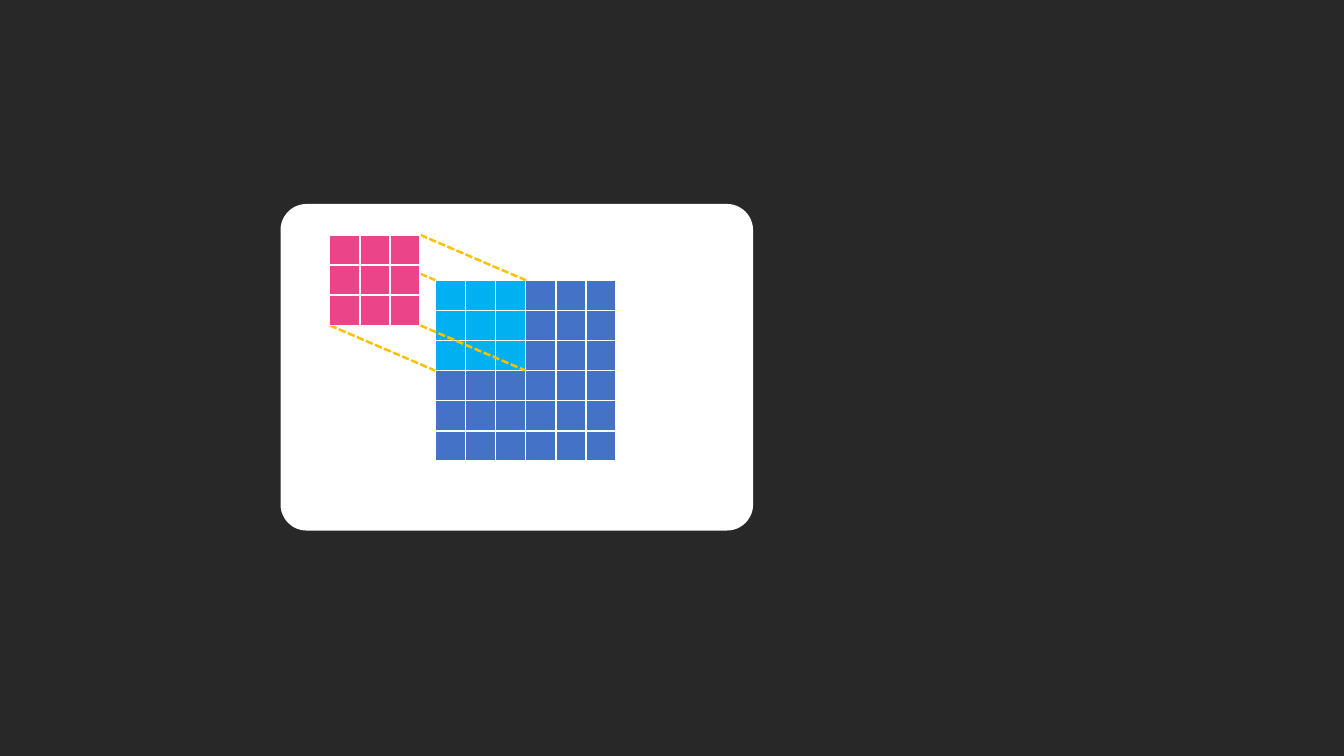
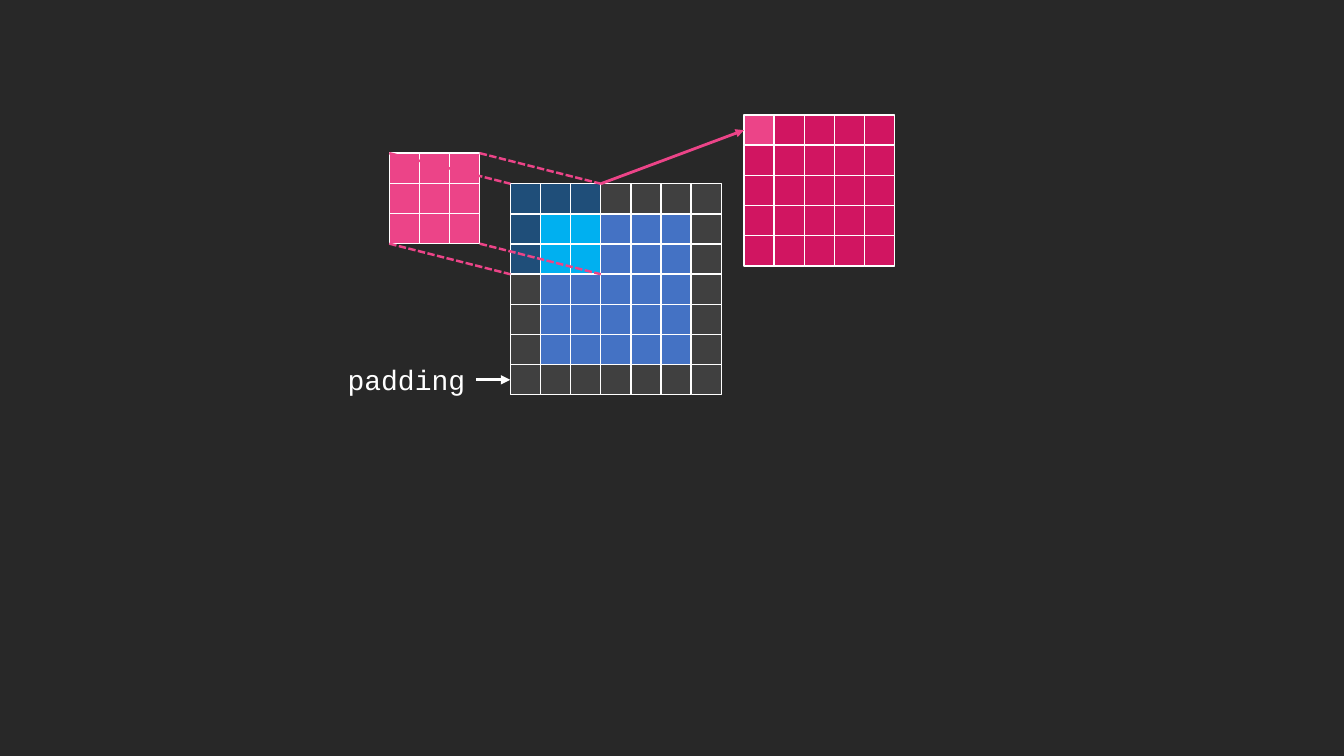
import dataclasses

import lxml.etree
import pptx
import pptx.dml.color
import pptx.enum.dml
import pptx.enum.shapes
import pptx.enum.text
import pptx.oxml.ns
import pptx.util

Cm, Pt = pptx.util.Cm, pptx.util.Pt
qn = pptx.oxml.ns.qn
SHAPE = pptx.enum.shapes.MSO_SHAPE

# Grid letters: K kernel, W window, I input, P padding,
# S shaded padding under the window, O output, A active output.
KERNEL = ["KKK"] * 3
INPUT = ["WWWIII"] * 3 + ["IIIIII"] * 3
PADDED = ["SSSPPPP"] + ["SWWIIIP"] * 2 + ["PIIIIIP"] * 3 + ["PPPPPPP"]
OUTPUT = ["AOOOO"] + ["OOOOO"] * 4

# Positions and lengths are in centimetres.
CELL = 0.76
CARD = (7.07, 5.14, 11.91, 8.23)
PLAIN = {"kernel": (8.31, 5.92), "input": (10.97, 7.06)}
WITH_PADDING = {"kernel": (9.81, 3.86), "input": (12.86, 4.63), "output": (18.75, 2.9)}
LABEL = ("padding", (8.51, 9.02, 3.48, 1.12))


@dataclasses.dataclass(frozen=True)
class Theme:
    background: str = "282828"
    white: str = "FFFFFF"
    amber: str = "FFC000"
    pink: str = "EC4488"
    cells: tuple = (("K", "EC4488"), ("W", "00B0F0"), ("I", "4472C4"), ("P", "404040"),
                    ("S", "1F4E79"), ("O", "D11561"), ("A", "EC4488"))
    font: str = "Courier New"
    label_size: int = 20
    cell_line: float = 1
    projection_line: float = 1.75
    result_line: float = 2
    label_line: float = 2.25


THEME = Theme()
CELL_COLORS = dict(THEME.cells)


def rgb(color):
    return pptx.dml.color.RGBColor.from_string(color)


def add_box(shapes, kind, box, fill, line=None, width=THEME.cell_line):
    sp = shapes.add_shape(kind, *map(Cm, box))
    sp.shadow.inherit = False
    sp.fill.solid()
    sp.fill.fore_color.rgb = rgb(fill)
    if line:
        sp.line.color.rgb = rgb(line)
        sp.line.width = Pt(width)
    else:
        sp.line.fill.background()
    return sp


def add_line(slide, start, end, color, width, dashed=False, arrow=False):
    c = slide.shapes.add_connector(
        pptx.enum.shapes.MSO_CONNECTOR.STRAIGHT, *map(Cm, start + end))
    c.line.color.rgb = rgb(color)
    c.line.width = Pt(width)
    if dashed:
        c.line.dash_style = pptx.enum.dml.MSO_LINE.SQUARE_DOT
    sppr = c.element.spPr
    if arrow:
        lxml.etree.SubElement(sppr.find(qn("a:ln")), qn("a:tailEnd"), type="triangle")
    lxml.etree.SubElement(sppr, qn("a:effectLst"))


def add_text(slide, text, box, size=THEME.label_size, color=THEME.white, font=THEME.font):
    tf = slide.shapes.add_textbox(*map(Cm, box)).text_frame
    tf.word_wrap = True
    tf.auto_size = pptx.enum.text.MSO_AUTO_SIZE.SHAPE_TO_FIT_TEXT
    r = tf.paragraphs[0].add_run()
    r.text = text
    r.font.size, r.font.name = Pt(size), font
    r.font.color.rgb = rgb(color)


def grid_point(origin, col, row):
    return origin[0] + col * CELL, origin[1] + row * CELL


def add_grid(slide, origin, rows):
    group = slide.shapes.add_group_shape()
    for row, letters in enumerate(rows):
        for col, letter in enumerate(letters):
            add_box(group.shapes, SHAPE.RECTANGLE,
                    grid_point(origin, col, row) + (CELL, CELL),
                    CELL_COLORS[letter], THEME.white)


def add_projection(slide, kernel, window, color):
    """Join the four kernel corners to the same corners of the window."""
    n = len(KERNEL)
    for col, row in ((n, 0), (0, n), (n, n), (0, 0)):
        add_line(slide, grid_point(kernel, col, row), grid_point(window, col, row),
                 color, THEME.projection_line, dashed=True)


def add_plain_slide(prs, layout):
    slide = prs.slides.add_slide(layout)
    card = add_box(slide.shapes, SHAPE.ROUNDED_RECTANGLE, CARD, THEME.white)
    card.adjustments[0] = 0.08
    add_grid(slide, PLAIN["input"], INPUT)
    add_projection(slide, PLAIN["kernel"], PLAIN["input"], THEME.amber)
    add_grid(slide, PLAIN["kernel"], KERNEL)


def add_padding_slide(prs, layout):
    slide = prs.slides.add_slide(layout)
    kernel, padded, output = (WITH_PADDING[k] for k in ("kernel", "input", "output"))
    add_grid(slide, kernel, KERNEL)
    add_grid(slide, padded, PADDED)
    add_grid(slide, output, OUTPUT)

    text, box = LABEL
    add_text(slide, text, box)
    tip = grid_point(padded, 0, len(PADDED) - 0.5)
    add_line(slide, (box[0] + box[2], tip[1]), tip,
             THEME.white, THEME.label_line, arrow=True)

    add_projection(slide, kernel, padded, THEME.pink)
    add_line(slide, grid_point(padded, len(KERNEL), 0), grid_point(output, 0, 0.5),
             THEME.pink, THEME.result_line, arrow=True)


def main():
    prs = pptx.Presentation()
    prs.slide_width, prs.slide_height = Cm(33.87), Cm(19.05)
    fill = prs.slide_master.background.fill
    fill.solid()
    fill.fore_color.rgb = rgb(THEME.background)
    blank = prs.slide_layouts.get_by_name("Blank")
    add_plain_slide(prs, blank)
    add_padding_slide(prs, blank)
    prs.save("out.pptx")


if __name__ == "__main__":
    main()
